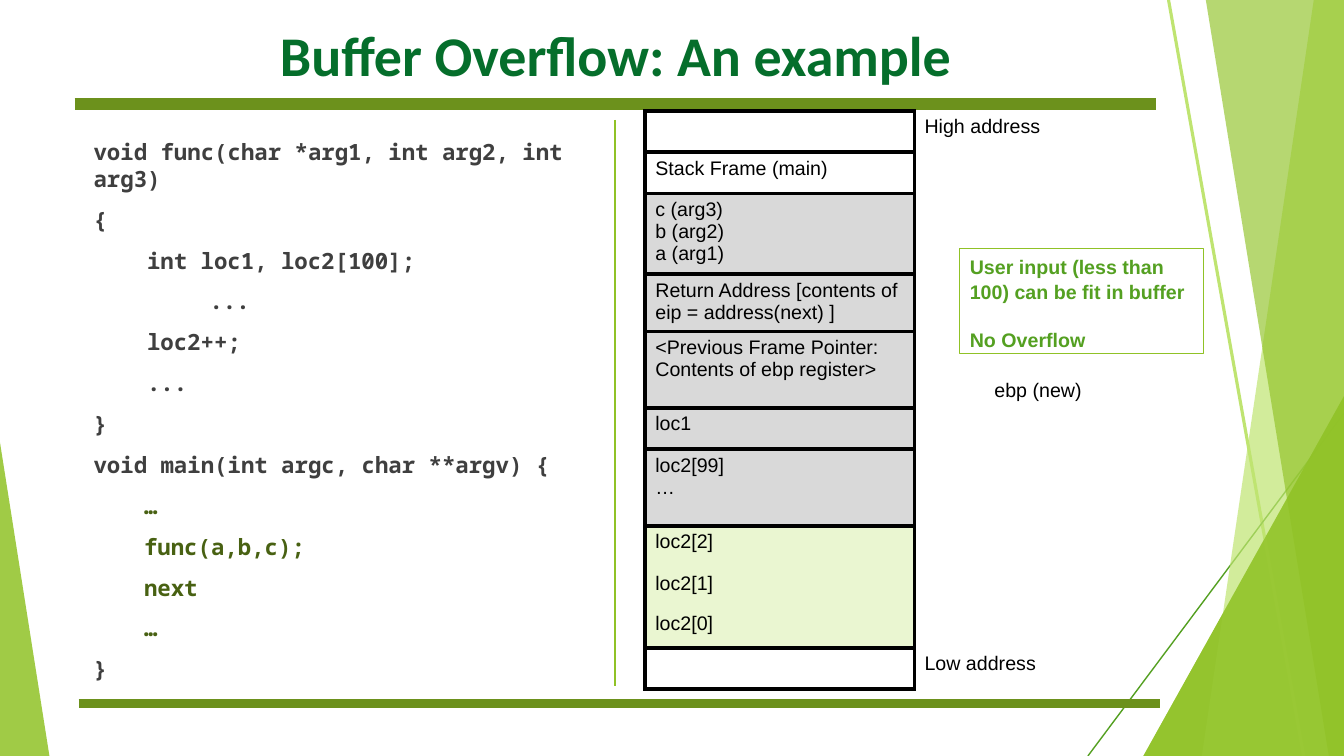
import pptx
import pptx.dml.color
import pptx.enum.shapes
import pptx.enum.text
import pptx.oxml.ns
import pptx.util
from lxml import etree

Inches = pptx.util.Inches
Pt = pptx.util.Pt
qn = pptx.oxml.ns.qn
ALIGN = pptx.enum.text.PP_ALIGN
ANCHOR = pptx.enum.text.MSO_ANCHOR


def rgb(hex_text):
    return pptx.dml.color.RGBColor.from_string(hex_text)


def write(frame, text, size=14, font="Arial", color="000000", bold=False,
          align=ALIGN.LEFT, indent=0, before=0, spacing=None):
    """Fill the frame's first paragraph, or add a paragraph after it."""
    paragraph = frame.paragraphs[0]
    if paragraph.runs:
        paragraph = frame.add_paragraph()
    paragraph.alignment = align
    paragraph.space_before = Pt(before)
    paragraph.line_spacing = spacing
    paragraph._p.get_or_add_pPr().set("marL", str(Inches(indent)))
    run = paragraph.add_run()
    run.text = text
    run.font.size = Pt(size)
    run.font.name = font
    run.font.bold = bold
    run.font.color.rgb = rgb(color)


presentation = pptx.Presentation()
presentation.slide_width = Inches(13.33)
presentation.slide_height = Inches(7.5)
slide = presentation.slides.add_slide(presentation.slide_layouts[6])
shapes = slide.shapes

# Decoration and rules, from back to front: kind, geometry, colour,
# then opacity in percent (areas) or width in points (lines)
corner = ("triangle", (11.34, 3.93, 1.99, 3.57, 1), "90C226", 80)
decoration = [
    corner,
    ("triangle", (0, 4.39, 0.49, 3.11, 0), "90C226", 85),
    ("line", (11.59, 0, 12.93, 7.5), "BFE471", 2.25),
    ("line", (13.33, 4.1, 10.79, 7.5), "54A021", 1),
    ("area", ((13.03, 0), (13.33, 0), (13.33, 7.5), (11.92, 7.5)), "BFE471", 70),
    ("area", ((11.96, 0), (13.33, 0), (13.33, 7.5), (13.18, 7.5)), "90C226", 65),
    corner,
    ("line", (0.74, 1.03, 11.47, 1.03), "6C911C", 8.75),
    ("line", (0.78, 6.98, 11.51, 6.98), "6C911C", 6),
    ("line", (6.1, 1.19, 6.1, 6.81), "90C226", 1.75),
]
for kind, geometry, color, amount in decoration:
    if kind == "line":
        connector = shapes.add_connector(
            pptx.enum.shapes.MSO_CONNECTOR.STRAIGHT, *map(Inches, geometry))
        connector.line.color.rgb = rgb(color)
        connector.line.width = Pt(amount)
        etree.SubElement(connector._element.spPr, qn("a:effectLst"))
        continue
    if kind == "triangle":
        *box, apex = geometry
        shape = shapes.add_shape(
            pptx.enum.shapes.MSO_SHAPE.ISOSCELES_TRIANGLE, *map(Inches, box))
        shape.adjustments[0] = apex
    else:
        start, *others = [tuple(map(Inches, point)) for point in geometry]
        builder = shapes.build_freeform(*start)
        builder.add_line_segments(others, close=True)
        shape = builder.convert_to_shape()
    shape.shadow.inherit = False
    shape.line.fill.background()
    shape.fill.solid()
    shape.fill.fore_color.rgb = rgb(color)
    fill_color = shape._element.spPr.find(qn("a:solidFill"))[0]
    etree.SubElement(fill_color, qn("a:alpha"), val=str(amount * 1000))

# Title
title = shapes.add_textbox(Inches(0.74), Inches(0.03), Inches(10.73), Inches(1.01))
title.text_frame.word_wrap = True
title.text_frame.vertical_anchor = ANCHOR.MIDDLE
write(title.text_frame, "Buffer Overflow: An example", size=40, font="Calibri",
      color="056E2B", bold=True, align=ALIGN.CENTER)

# Code listing: text, left indent, colour
DARK, GREEN = "3F3F3F", "486112"
code_lines = [
    ("void func(char *arg1, int arg2, int arg3)", 0.09, DARK),
    ("{", 0.09, DARK),
    ("int loc1, loc2[100];", 0.62, DARK),
    ("...", 1.24, DARK),
    ("loc2++;", 0.62, DARK),
    ("...", 0.62, DARK),
    ("}", 0.09, DARK),
    ("void main(int argc, char **argv) {", 0.09, DARK),
    ("…", 0.59, GREEN),
    ("func(a,b,c);", 0.59, GREEN),
    ("next", 0.59, GREEN),
    ("…", 0.59, GREEN),
    ("}", 0.09, DARK),
]
code = shapes.add_textbox(Inches(0.74), Inches(1.27), Inches(5.2), Inches(5.55))
code.text_frame.word_wrap = True
code.text_frame.margin_top = code.text_frame.margin_bottom = Inches(0.1)
for text, indent, color in code_lines:
    write(code.text_frame, text, size=16, font="Noto Sans Mono", color=color,
          bold=True, indent=indent, before=10)

# Stack table: lines of text, row height, fill, bordered sides
GRAY, LIME = "D9D9D9", "EAF6D1"
stack_rows = [
    ([], 0.41, None, "LRTB"),
    (["Stack Frame (main)"], 0.41, None, "LRTB"),
    (["c (arg3)", "b (arg2)", "a (arg1)"], 0.75, GRAY, "LRTB"),
    (["Return Address [contents of eip = address(next) ]"], 0.54, GRAY, "LRTB"),
    (["<Previous Frame Pointer: Contents of ebp register>"], 0.76, GRAY, "LRTB"),
    (["loc1"], 0.41, GRAY, "LRTB"),
    (["loc2[99]", "…"], 0.76, GRAY, "LRT"),
    (["loc2[2]"], 0.41, LIME, "LR"),
    (["loc2[1]"], 0.4, LIME, "LR"),
    (["loc2[0]"], 0.4, LIME, "LRB"),
    ([], 0.41, None, "LRTB"),
]
table_height = sum(row[1] for row in stack_rows)
table = shapes.add_table(len(stack_rows), 2, Inches(6.4), Inches(1.1),
                         Inches(4.43), Inches(table_height)).table
table.first_row = table.horz_banding = False
NO_STYLE = "{2D5ABB26-0587-4C30-8999-92F81FD0307C}"
table._tbl.tblPr.find(qn("a:tableStyleId")).text = NO_STYLE
table.columns[0].width = Inches(2.67)
table.columns[1].width = Inches(1.76)
for index, (lines, height, fill, sides) in enumerate(stack_rows):
    table.rows[index].height = Inches(height)
    cell = table.cell(index, 0)
    for text in lines:
        write(cell.text_frame, text)
    for side in sides:
        border = etree.SubElement(cell._tc.get_or_add_tcPr(), qn("a:ln" + side),
                                  w=str(Pt(3)))
        solid = etree.SubElement(border, qn("a:solidFill"))
        etree.SubElement(solid, qn("a:srgbClr"), val="000000")
    if fill:
        cell.fill.solid()
        cell.fill.fore_color.rgb = rgb(fill)
    else:
        cell.fill.background()
    table.cell(index, 1).fill.background()

# Labels beside the stack
write(table.cell(0, 1).text_frame, "High address")
write(table.cell(10, 1).text_frame, "Low address")
pointer_cell = table.cell(4, 1)
pointer_cell.merge(table.cell(5, 1))
pointer_cell.vertical_anchor = ANCHOR.MIDDLE
write(pointer_cell.text_frame, "ebp (new)", align=ALIGN.RIGHT)

# Callout
callout = shapes.add_shape(pptx.enum.shapes.MSO_SHAPE.RECTANGLE, Inches(9.52),
                           Inches(2.47), Inches(2.42), Inches(1.04))
callout.shadow.inherit = False
callout.fill.background()
callout.line.color.rgb = rgb("90C226")
callout.line.width = Pt(0.75)
callout.text_frame.word_wrap = True
callout.text_frame.vertical_anchor = ANCHOR.TOP
for text, before in [("User input (less than 100) can be fit in buffer", 0),
                     ("No Overflow", 17)]:
    write(callout.text_frame, text, color="54A021", bold=True, before=before,
          spacing=1.05)

presentation.save("out.pptx")
